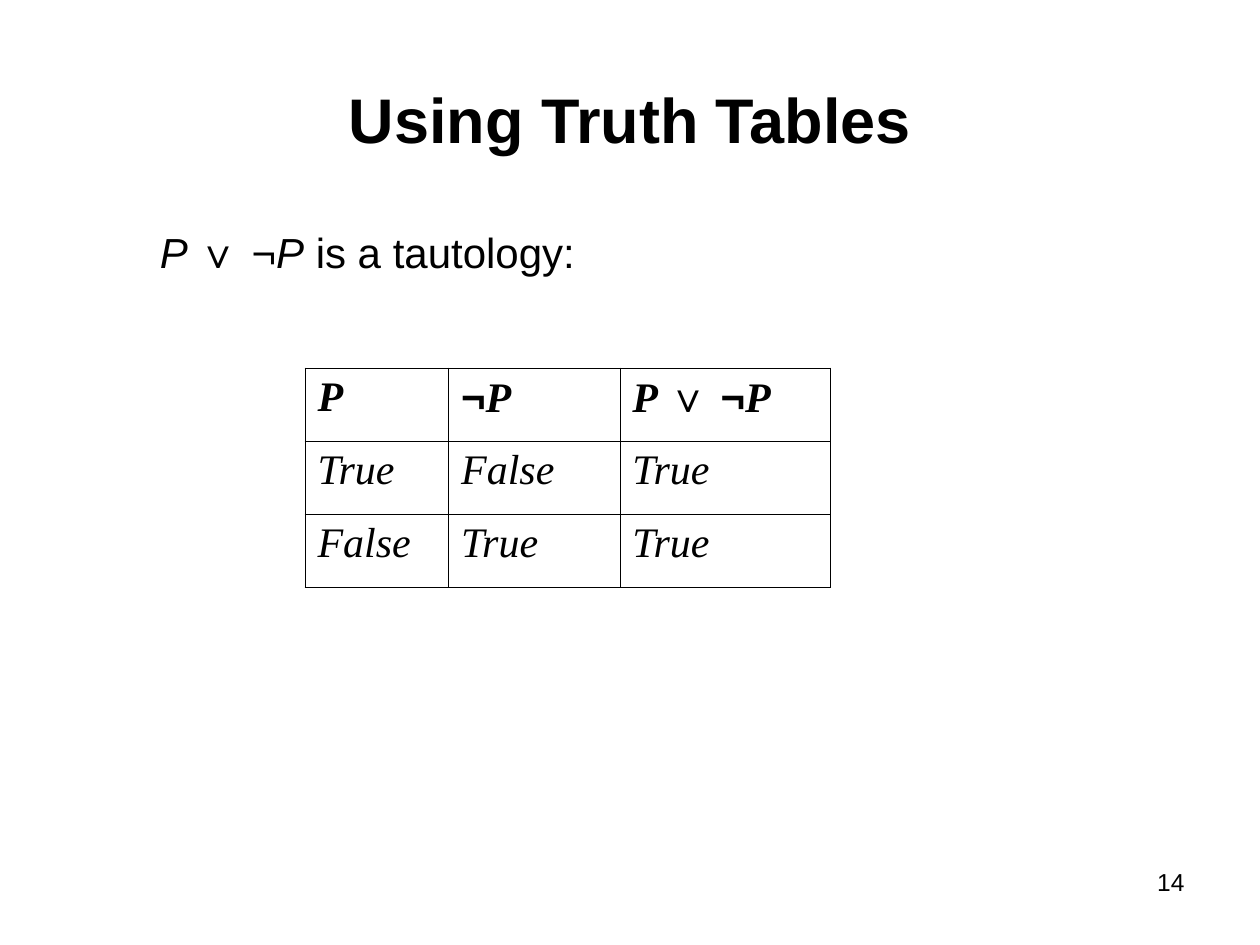
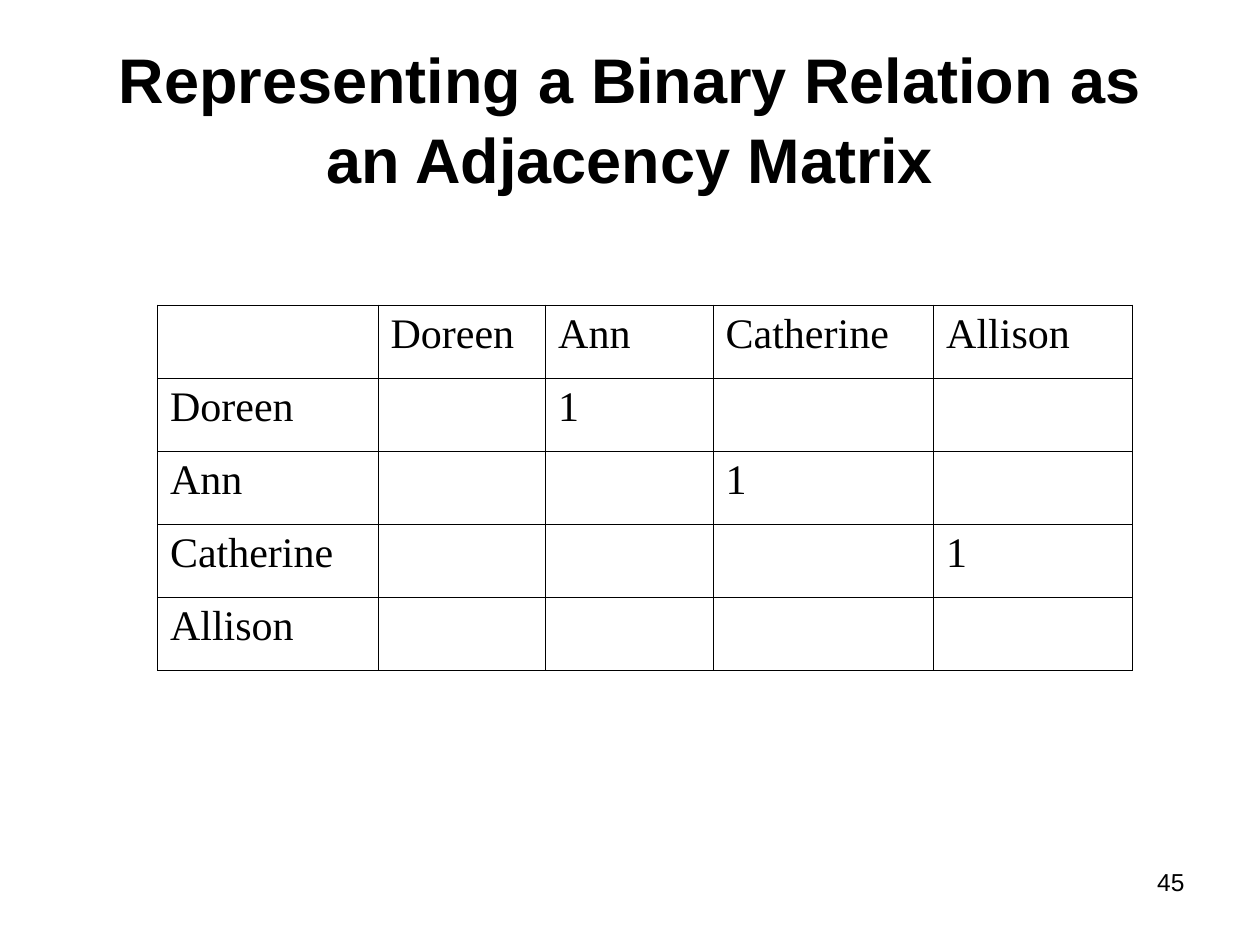
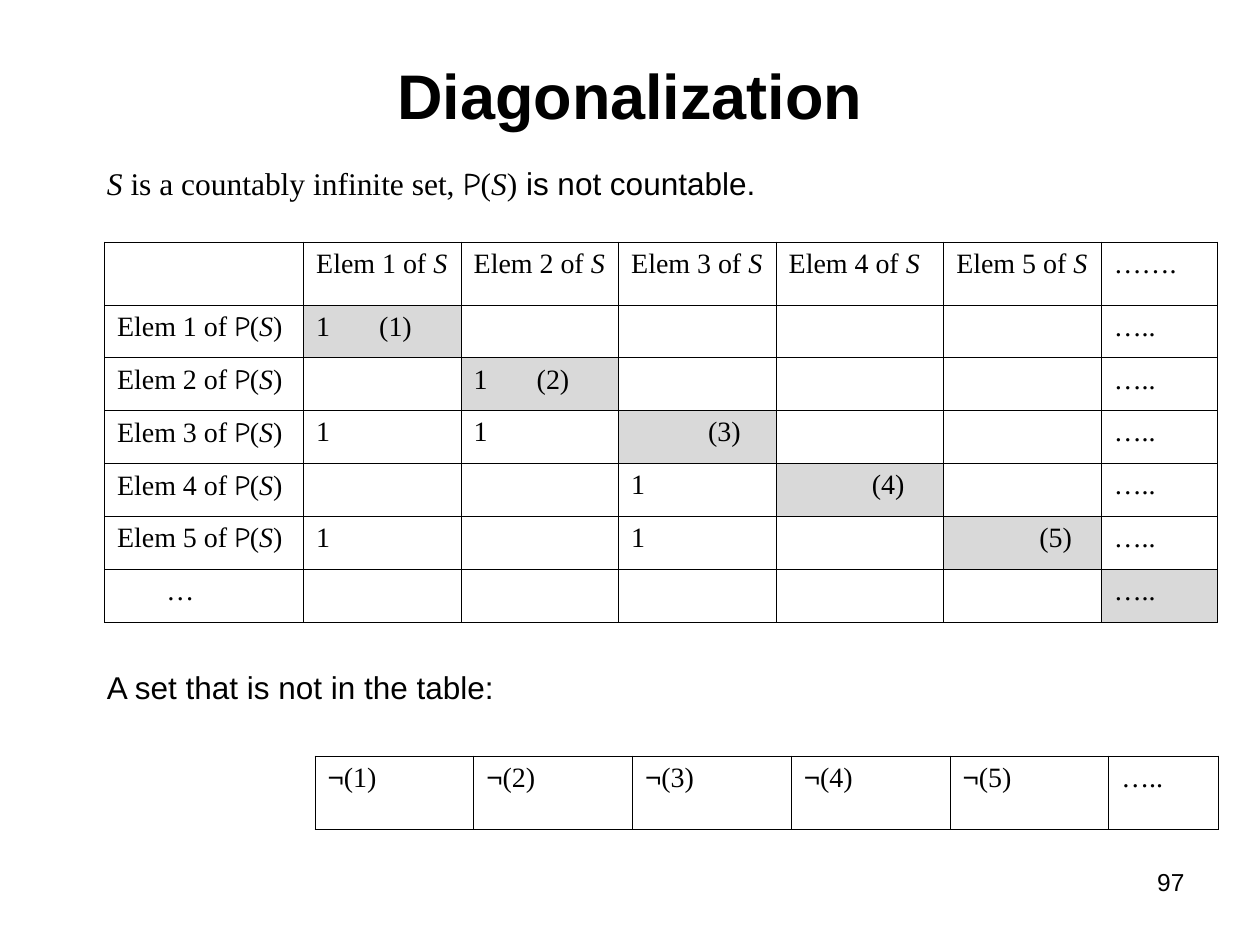
"""Build three slides on truth tables, adjacency matrices and diagonalization."""
from dataclasses import dataclass

from pptx import Presentation
from pptx.dml.color import RGBColor
from pptx.enum.text import MSO_ANCHOR, MSO_AUTO_SIZE, PP_ALIGN
from pptx.oxml.ns import qn
from pptx.util import Inches, Pt
from lxml import etree

LEFT, CENTER, RIGHT = PP_ALIGN.LEFT, PP_ALIGN.CENTER, PP_ALIGN.RIGHT
JUSTIFY = PP_ALIGN.JUSTIFY
MIDDLE = MSO_ANCHOR.MIDDLE
NO_FIT, FIT_SHAPE = MSO_AUTO_SIZE.NONE, MSO_AUTO_SIZE.SHAPE_TO_FIT_TEXT
TITLE_ONLY = 5


@dataclass(frozen=True)
class Theme:
    """Colours, fonts and type sizes shared by the slides."""
    ink: str = "000000"
    shade: str = "D9D9D9"
    sans: str = "Arial"
    serif: str = "Times New Roman"
    script: str = "Comic Neue"
    title: int = 36
    large: int = 24
    body: int = 18
    small: int = 16
    number: int = 14
    title_spacing: float = 1.05
    border: float = 0.45


THEME = Theme()


@dataclass(frozen=True)
class Run:
    """A piece of text in one style."""
    text: str
    font: str = THEME.serif
    italic: bool = False
    bold: bool = False


@dataclass(frozen=True)
class Cell:
    """The content and look of one table cell."""
    runs: tuple = ()
    indent: float = 0
    tab: float = 0
    shaded: bool = False


POWER_SET = (Run("P", THEME.script), Run("("), Run("S", italic=True), Run(")"))


def text_cell(text, italic=False, bold=False):
    """Return a serif cell, empty when there is no text."""
    return Cell((Run(text, italic=italic, bold=bold),) if text else ())


def add_runs(p, runs, size):
    """Add styled runs to a paragraph."""
    for run in runs:
        r = p.add_run()
        r.text = run.text
        r.font.name = run.font
        r.font.size = Pt(size)
        r.font.italic = run.italic
        r.font.bold = run.bold
        r.font.color.rgb = RGBColor.from_string(THEME.ink)


def add_text(s, box, runs, size, align=LEFT, fit=FIT_SHAPE):
    """Add a one-paragraph text box."""
    tf = s.shapes.add_textbox(*map(Inches, box)).text_frame
    tf.word_wrap = True
    tf.auto_size = fit
    p = tf.paragraphs[0]
    p.alignment = align
    add_runs(p, runs, size)


def add_slide(prs, title, number, title_height=1.25):
    """Add a slide with its title and page number."""
    s = prs.slides.add_slide(prs.slide_layouts[TITLE_ONLY])
    sp = s.shapes.title
    sp.left, sp.top = Inches(0.5), Inches(0.3)
    sp.width, sp.height = Inches(9), Inches(title_height)
    tf = sp.text_frame
    tf.word_wrap = True
    tf.auto_size = NO_FIT
    tf.vertical_anchor = MIDDLE
    p = tf.paragraphs[0]
    p.alignment = CENTER
    p.line_spacing = THEME.title_spacing
    add_runs(p, [Run(title, THEME.sans, bold=True)], THEME.title)
    add_text(s, (7.17, 6.83, 2.33, 0.52), [Run(str(number), THEME.sans)],
             THEME.number, RIGHT, NO_FIT)
    return s


def set_borders(cell):
    """Draw a thin line on every side of a cell."""
    tc_pr = cell._tc.get_or_add_tcPr()
    for i, side in enumerate(("a:lnL", "a:lnR", "a:lnT", "a:lnB")):
        ln = etree.Element(qn(side), w=str(Pt(THEME.border)))
        fill = etree.SubElement(ln, qn("a:solidFill"))
        etree.SubElement(fill, qn("a:srgbClr"), val=THEME.ink)
        tc_pr.insert(i, ln)


def set_indent(p, indent, tab):
    """Set the left indent and the tab stop of a paragraph."""
    p_pr = p._p.get_or_add_pPr()
    p_pr.set("marL", str(Inches(indent)))
    p_pr.set("indent", "0")
    if tab:
        tabs = etree.SubElement(p_pr, qn("a:tabLst"))
        etree.SubElement(tabs, qn("a:tab"), pos=str(Inches(tab)), algn="l")


def fill_cell(cell, content, size):
    """Write and format one table cell."""
    if content.shaded:
        cell.fill.solid()
        cell.fill.fore_color.rgb = RGBColor.from_string(THEME.shade)
    else:
        cell.fill.background()
    set_borders(cell)
    p = cell.text_frame.paragraphs[0]
    set_indent(p, content.indent, content.tab)
    p.alignment = JUSTIFY
    if content.runs:
        add_runs(p, content.runs, size)
    else:
        p.font.size = Pt(size)


def add_grid(s, left, top, widths, heights, rows, size):
    """Add a bordered table."""
    frame = s.shapes.add_table(len(rows), len(widths), Inches(left), Inches(top),
                               Inches(sum(widths)), Inches(sum(heights)))
    table = frame.table
    table.first_row = table.horz_banding = False
    for column, width in zip(table.columns, widths):
        column.width = Inches(width)
    for row, height, contents in zip(table.rows, heights, rows):
        row.height = Inches(height)
        for cell, content in zip(row.cells, contents):
            fill_cell(cell, content, size)


def truth_slide(prs):
    """Show the truth table of a tautology."""
    s = add_slide(prs, "Using Truth Tables", 14)
    add_text(s, (1.17, 1.75, 8, 0.5),
             [Run("P ", THEME.sans, italic=True), Run("∨ ¬", THEME.sans),
              Run("P", THEME.sans, italic=True),
              Run(" is a tautology:", THEME.sans)], THEME.large)
    p_run = Run("P", italic=True, bold=True)
    header = [Cell((p_run,)),
              Cell((Run("¬", THEME.sans, bold=True), p_run)),
              Cell((Run("P ", italic=True, bold=True),
                    Run("∨ ¬", THEME.sans, bold=True), p_run))]
    rows = [header]
    for value in (True, False):
        results = (value, not value, value or not value)
        rows.append([text_cell(str(result), italic=True) for result in results])
    add_grid(s, 2.42, 2.92, (1.14, 1.36, 1.67), [0.58] * 3, rows, THEME.large)


def matrix_slide(prs):
    """Show a relation as an adjacency matrix."""
    s = add_slide(prs, "Representing a Binary Relation as an Adjacency Matrix", 45)
    names = ["Doreen", "Ann", "Catherine", "Allison"]
    related = set(zip(names, names[1:]))
    rows = [[text_cell(name) for name in ["", *names]]]
    for name in names:
        marks = ["1" if (name, other) in related else "" for other in names]
        rows.append([text_cell(text) for text in [name, *marks]])
    add_grid(s, 1.25, 2.42, (1.75, 1.33, 1.33, 1.75, 1.58), [0.58] * 5, rows,
             THEME.large)


def diagonal_rows():
    """Return the rows of the subset table with its shaded diagonal."""
    members = {1: {1}, 2: {2}, 3: {1, 2}, 4: {3}, 5: {1, 3}}
    offsets = {1: 0.72, 2: 0.72, 3: 0.61, 4: 0.66, 5: 0.66}
    header = [Cell((Run(f"Elem {n} of "), Run("S", italic=True))) for n in members]
    rows = [[Cell(), *header, text_cell("…….")]]
    for n, subset in members.items():
        row = [Cell((Run(f"Elem {n} of "), *POWER_SET))]
        for elem in members:
            mark = "1" if elem in subset else ""
            if elem != n:
                row.append(text_cell(mark))
            elif mark:
                row.append(Cell((Run(f"1\t({n})"),), tab=offsets[n], shaded=True))
            else:
                row.append(Cell((Run(f"({n})"),), indent=offsets[n], shaded=True))
        rows.append([*row, text_cell("…..")])
    rows.append([Cell((Run("…"),), indent=0.39), *[Cell()] * len(members),
                 Cell((Run("….."),), shaded=True)])
    return rows


def diagonal_slide(prs):
    """Show the diagonal argument for a power set."""
    s = add_slide(prs, "Diagonalization", 97, 0.87)
    add_grid(s, 0.83, 1.92, (1.58, 1.25, 1.25, 1.25, 1.33, 1.25, 0.92),
             [0.5] + [0.42] * 6, diagonal_rows(), THEME.small)
    add_text(s, (0.75, 1.25, 8.42, 0.4),
             [Run("S ", italic=True), Run("is a countably infinite set, "),
              *POWER_SET, Run(" is not countable.", THEME.sans)], THEME.body)
    add_text(s, (0.75, 5.25, 8.83, 0.4),
             [Run("A set that is not in the table:", THEME.sans)], THEME.body)
    flipped = [Cell((Run("¬", THEME.sans), Run(f"({n})"))) for n in range(1, 6)]
    add_grid(s, 2.5, 6, [1.26] * 5 + [0.87], [0.58],
             [[*flipped, text_cell("…..")]], THEME.small)


def main():
    """Build and save the presentation."""
    prs = Presentation()
    prs.slide_width, prs.slide_height = Inches(10), Inches(7.5)
    truth_slide(prs)
    matrix_slide(prs)
    diagonal_slide(prs)
    prs.save("out.pptx")


if __name__ == "__main__":
    main()
